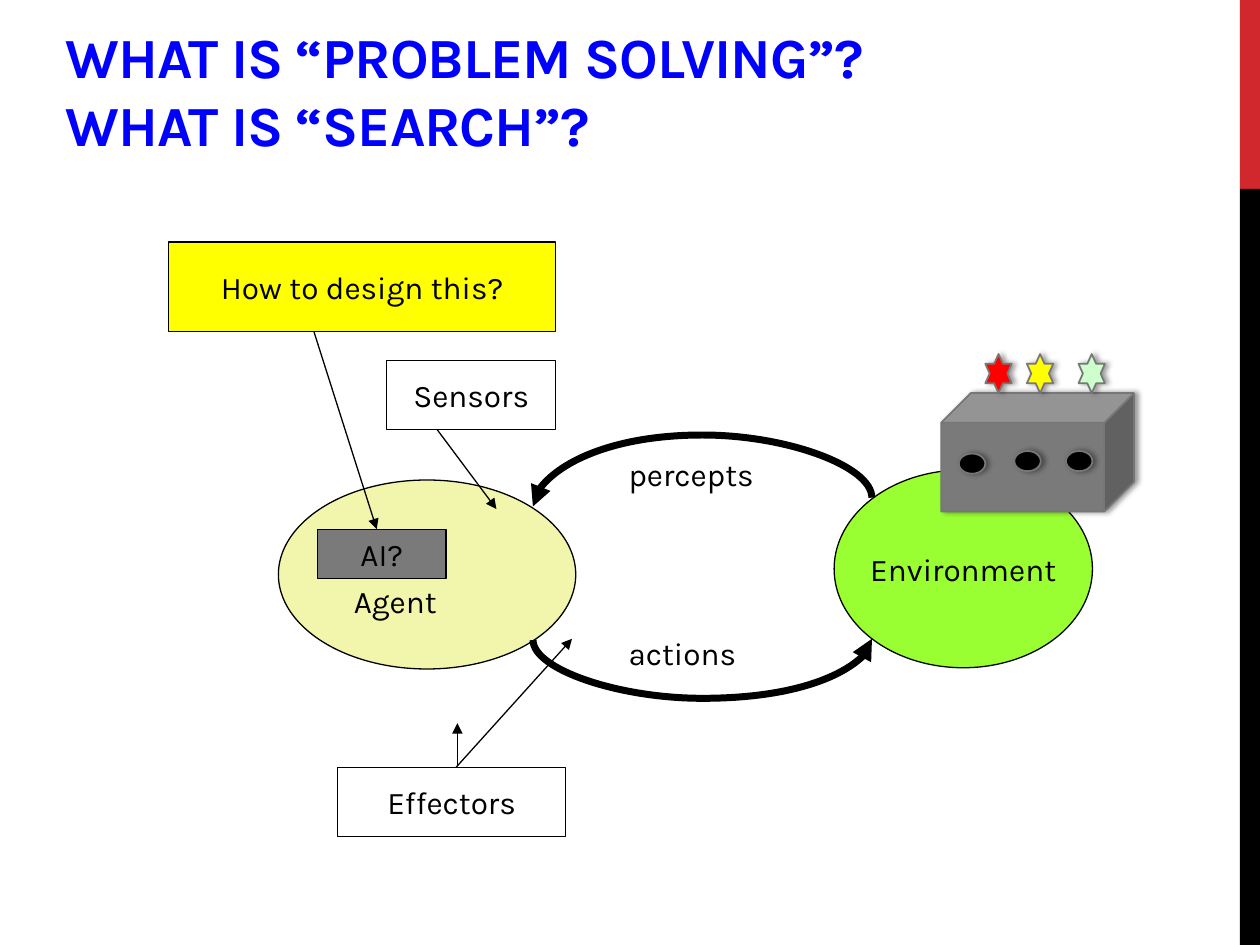
from dataclasses import dataclass

from lxml import etree
from pptx import Presentation
from pptx import util as u
from pptx.dml.color import RGBColor
from pptx.enum import shapes, text
from pptx.oxml import parse_xml
from pptx.oxml.ns import nsdecls, qn

SHAPE = shapes.MSO_SHAPE
TOP_LEFT, BOTTOM_LEFT, BOTTOM_RIGHT, TOP_RIGHT = 1, 3, 5, 7  # ellipse sites


@dataclass(frozen=True)
class Theme:
    font: str = "Karla"
    title_size: float = 32.4
    body_size: float = 18
    thin: float = 0.75
    edge: float = 1
    thick: float = 4
    title: str = "0000FF"
    black: str = "000000"
    white: str = "FFFFFF"
    accent: str = "D1282E"
    yellow: str = "FFFF00"
    red: str = "FF0000"
    mint: str = "CCFFCC"
    agent: str = "F2F6AC"
    environment: str = "99FF33"
    gray: str = "7A7A7A"
    edge_gray: str = "777777"


def color(value):
    return RGBColor.from_string(value)


class Diagram:
    """Draws the elements of one page in one theme."""

    def __init__(self, page, theme):
        self.page = page
        self.theme = theme

    def style(self, box, size, ink, bold=False):
        for para in box.text_frame.paragraphs:
            for span in para.runs:
                span.font.name = self.theme.font
                span.font.size = u.Pt(size)
                span.font.bold = bold
                span.font.color.rgb = color(ink)

    def title(self, words, *at):
        box = self.page.shapes.title
        box.left, box.top, box.width, box.height = map(u.Inches, at)
        frame = box.text_frame
        frame.text = words
        frame.auto_size = text.MSO_AUTO_SIZE.NONE
        frame.vertical_anchor = text.MSO_ANCHOR.BOTTOM
        frame.paragraphs[0].alignment = text.PP_ALIGN.LEFT
        self.style(box, self.theme.title_size, self.theme.title, bold=True)
        for span in frame.paragraphs[0].runs:
            span.font._element.set("spc", "-60")

    def shape(self, kind, fill, *at, words="", line=None, weight=None):
        box = self.page.shapes.add_shape(kind, *map(u.Inches, at))
        box.shadow.inherit = False
        box.fill.solid()
        box.fill.fore_color.rgb = color(fill)
        if line:
            box.line.color.rgb = color(line)
            box.line.width = u.Pt(weight)
        else:
            box.line.fill.background()
        if words:
            frame = box.text_frame
            frame.text = words
            frame.word_wrap = False
            frame.vertical_anchor = text.MSO_ANCHOR.MIDDLE
            frame.paragraphs[0].alignment = text.PP_ALIGN.CENTER
            self.style(box, self.theme.body_size, self.theme.black)
        return box

    def node(self, kind, fill, *at, words=""):
        return self.shape(kind, fill, *at, words=words,
                          line=self.theme.black, weight=self.theme.thin)

    def machine_part(self, kind, fill, *at):
        """A gray-edged shape with a soft shadow to its right."""
        box = self.shape(kind, fill, *at,
                         line=self.theme.edge_gray, weight=self.theme.edge)
        effects = box._element.spPr.find(qn("a:effectLst"))
        effects.append(parse_xml(
            f'<a:outerShdw {nsdecls("a")} blurRad="{u.Pt(3.1)}" '
            f'dist="{u.Pt(1.8)}" dir="0" rotWithShape="0">'
            f'<a:srgbClr val="{self.theme.black}"><a:alpha val="40000"/>'
            '</a:srgbClr></a:outerShdw>'))

    def label(self, words, *at):
        box = self.page.shapes.add_textbox(*map(u.Inches, at))
        box.text_frame.text = words
        box.text_frame.word_wrap = False
        box.text_frame.auto_size = text.MSO_AUTO_SIZE.SHAPE_TO_FIT_TEXT
        self.style(box, self.theme.body_size, self.theme.black)

    def arrow(self, start, end, kind=shapes.MSO_CONNECTOR.STRAIGHT, weight=None):
        line = self.page.shapes.add_connector(kind, *map(u.Inches, start + end))
        line.line.color.rgb = color(self.theme.black)
        line.line.width = u.Pt(weight or self.theme.thin)
        outline = line._element.spPr.find(qn("a:ln"))
        etree.SubElement(outline, qn("a:tailEnd"), type="triangle")
        etree.SubElement(line._element.spPr, qn("a:effectLst"))
        return line

    def arc(self, source, target, at, turn, bend):
        """A curved arrow between (shape, site) pairs; at is its frame before turning."""
        line = self.arrow((0, 0), (1, 1), shapes.MSO_CONNECTOR.CURVE,
                          self.theme.thick)
        links = line._element.find(".//" + qn("p:cNvCxnSpPr"))
        for tag, (box, site) in (("a:stCxn", source), ("a:endCxn", target)):
            etree.SubElement(links, qn(tag), id=str(box.shape_id), idx=str(site))
        line.left, line.top, line.width, line.height = map(u.Inches, at)
        frame = line._element.spPr.find(qn("a:xfrm"))
        for name, value in (("rot", turn * 60000), ("flipH", 1), ("flipV", 1)):
            frame.set(name, str(value))
        geometry = line._element.spPr.find(qn("a:prstGeom"))
        guides = geometry.find(qn("a:avLst"))
        if guides is None:
            guides = etree.SubElement(geometry, qn("a:avLst"))
        etree.SubElement(guides, qn("a:gd"), name="adj1",
                         fmla=f"val {round(bend * 100000)}")


def main():
    theme = Theme()
    deck = Presentation()
    deck.slide_width, deck.slide_height = u.Inches(10), u.Inches(7.5)
    page = deck.slides.add_slide(deck.slide_layouts.get_by_name("Title Only"))
    draw = Diagram(page, theme)

    draw.shape(SHAPE.RECTANGLE, theme.accent, 9.84, 0, 0.16, 1.5)
    draw.shape(SHAPE.RECTANGLE, theme.black, 9.84, 1.5, 0.16, 6)
    draw.title("WHAT IS “PROBLEM SOLVING”?\vWHAT IS “SEARCH”?",
               0.42, 0.12, 9.15, 1.18)

    environment = draw.node(SHAPE.OVAL, theme.environment,
                            6.62, 3.73, 2.05, 1.57, words="Environment")
    agent = draw.node(SHAPE.OVAL, theme.agent, 2.21, 3.81, 2.36, 1.5)
    draw.label("Agent", 2.71, 4.57, 1.07, 0.5)

    draw.arc((environment, TOP_LEFT), (agent, TOP_RIGHT),
             (5.54, 2.64, 0.07, 2.69), turn=270, bend=-7.1)
    draw.arc((agent, BOTTOM_RIGHT), (environment, BOTTOM_LEFT),
             (5.57, 3.73, 0.01, 2.69), turn=90, bend=-47)
    draw.label("percepts", 4.89, 3.56, 1.45, 0.5)
    draw.label("actions", 4.89, 4.98, 1.25, 0.5)

    for words, fill, at in (
        ("AI?", theme.gray, (2.52, 4.2, 1.02, 0.39)),
        ("Sensors", theme.white, (3.07, 2.86, 1.34, 0.55)),
        ("Effectors", theme.white, (2.68, 6.09, 1.81, 0.55)),
    ):
        draw.node(SHAPE.RECTANGLE, fill, *at, words=words)

    draw.arrow((3.47, 3.41), (3.94, 4.04))
    draw.arrow((2.44, 2.47), (2.99, 4.2))
    draw.node(SHAPE.RECTANGLE, theme.yellow, 1.34, 1.92, 3.07, 0.71,
              words="How to design this?")
    draw.arrow((3.62, 6.09), (4.54, 5.07))
    draw.arrow((3.63, 6.07), (3.63, 5.74))

    draw.machine_part(SHAPE.CUBE, theme.gray, 7.47, 3.12, 1.53, 0.94)
    for left, top in ((7.61, 3.6), (8.05, 3.58), (8.46, 3.58)):
        draw.machine_part(SHAPE.OVAL, theme.black, left, top, 0.21, 0.16)
    for left, fill in ((7.82, theme.red), (8.15, theme.yellow), (8.56, theme.mint)):
        draw.machine_part(SHAPE.STAR_6_POINT, fill, left, 2.81, 0.21, 0.31)

    deck.save("out.pptx")


if __name__ == "__main__":
    main()
